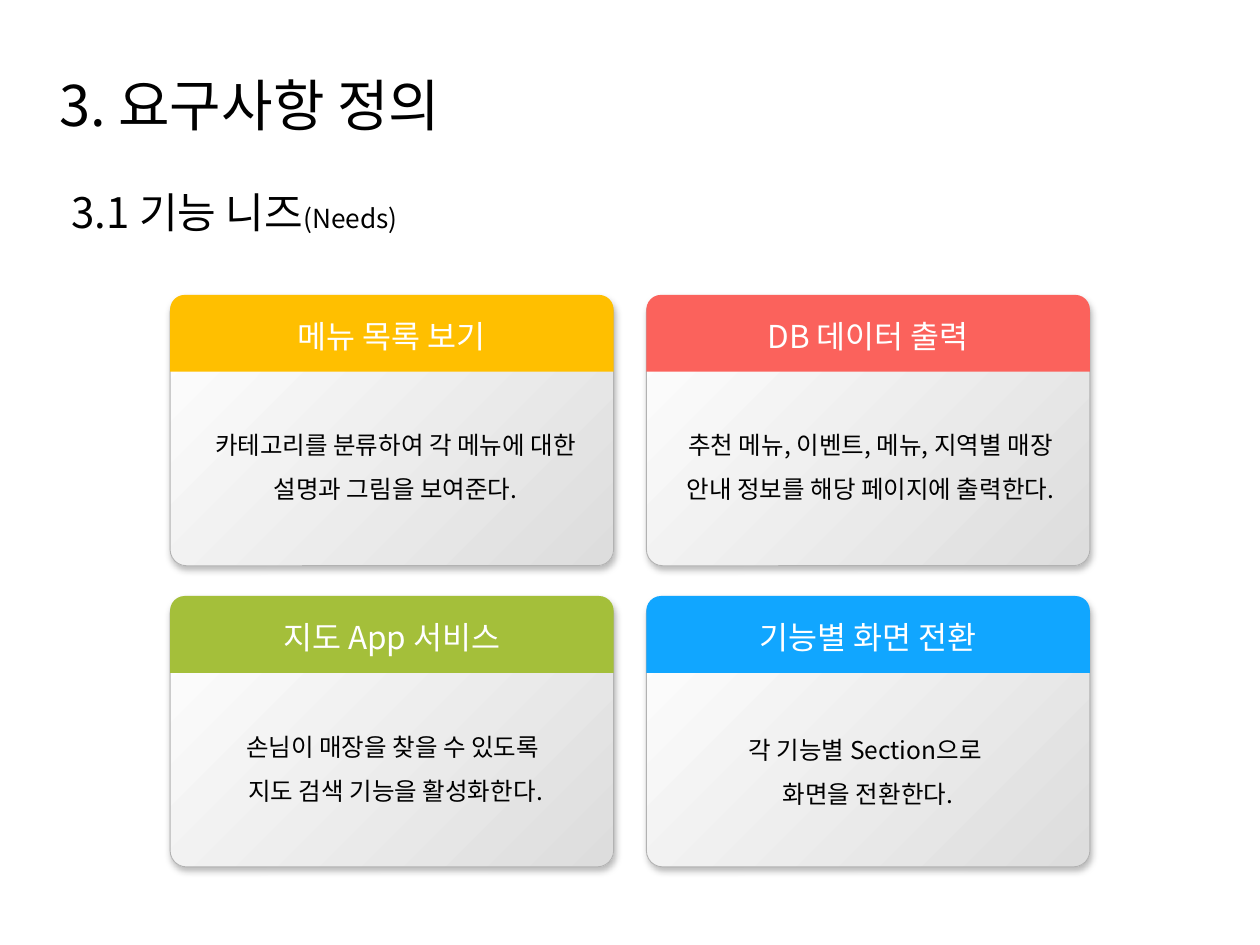
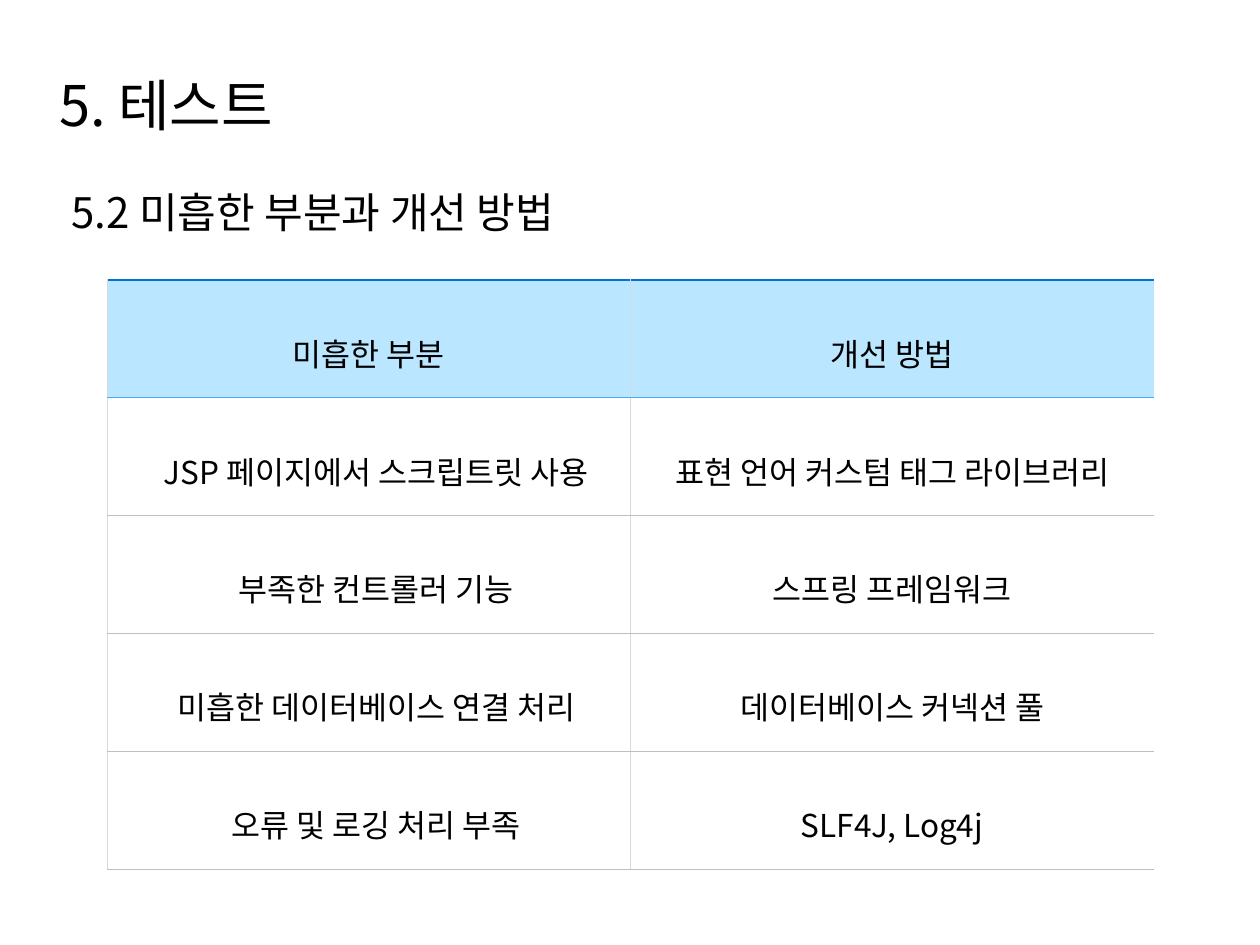
from dataclasses import dataclass
from lxml.etree import SubElement
from pptx import Presentation
from pptx.dml.color import RGBColor
from pptx.enum.shapes import MSO_SHAPE as Preset
from pptx.enum.text import MSO_ANCHOR as Anchor, MSO_AUTO_SIZE as AutoSize, PP_ALIGN as Align
from pptx.oxml.ns import qn
from pptx.util import Pt

EMU_PER_PX = 9144
EMU_PER_PT = 12700


def px(length):
    return length * EMU_PER_PX


@dataclass(frozen=True)
class Theme:
    font: str = "Noto Sans CJK KR"
    text: str = "000000"
    inverse: str = "FFFFFF"
    card_start: str = "FFFFFF"
    card_end: str = "DDDDDD"
    card_line: str = "B2B2B2"
    shadow: str = "000000"
    yellow: str = "FFBF00"
    red: str = "FB625C"
    green: str = "A4BF3A"
    blue: str = "11A6FF"
    table_head: str = "BAE6FF"
    table_body: str = "FFFFFF"
    table_top: str = "0173D4"
    head_rule: str = "4DABF5"
    row_rule: str = "BFBFBF"
    column_rule: str = "D9D9D9"
    title_size: int = 32
    heading_size: int = 24
    label_size: int = 18
    note_size: int = 15
    body_size: int = 14


class Deck:
    def __init__(self, theme):
        self.theme = theme
        self.presentation = Presentation()
        self.presentation.slide_width = px(1000)
        self.presentation.slide_height = px(750)
        self.slide = None

    def add_slide(self, title, heading, heading_width, note=None):
        self.slide = self.presentation.slides.add_slide(self.presentation.slide_layouts[6])
        self.add_title(title)
        self.add_heading(heading, heading_width, note)

    def format_run(self, run, size, color):
        run.font.size = Pt(size)
        run.font.color.rgb = RGBColor.from_string(color)
        run.font.name = self.theme.font
        SubElement(run.font._element, qn("a:ea"), typeface=self.theme.font)

    def set_text(self, frame, text, size, color=None, align=Align.LEFT, spacing=None):
        frame.text = text
        for paragraph in frame.paragraphs:
            paragraph.alignment = align
            paragraph.line_spacing = spacing
            for run in paragraph.runs:
                self.format_run(run, size, color or self.theme.text)

    def set_margins(self, frame, margin):
        frame.margin_left = frame.margin_right = px(margin)
        frame.margin_top = frame.margin_bottom = px(margin)

    def add_text(self, container, box, text, size, wrap=True, grow=True, **style):
        frame = container.add_textbox(*map(px, box)).text_frame
        self.set_text(frame, text, size, **style)
        frame.word_wrap = wrap
        frame.auto_size = AutoSize.SHAPE_TO_FIT_TEXT if grow else AutoSize.NONE
        return frame

    def add_title(self, text):
        frame = self.add_text(self.slide.shapes, (47, 51, 773, 66), text,
                              self.theme.title_size, grow=False)
        frame.margin_left = frame.margin_right = 0

    def add_heading(self, text, width, note):
        frame = self.add_text(self.slide.shapes, (47, 143, width, 50), text,
                              self.theme.heading_size, wrap=False)
        if note:
            run = frame.paragraphs[0].add_run()
            run.text = note
            self.format_run(run, self.theme.note_size, self.theme.text)

    def add_shadow(self, shape):
        effects = shape._element.spPr.find(qn("a:effectLst"))
        shadow = SubElement(effects, qn("a:outerShdw"), blurRad=str(4 * EMU_PER_PT),
                            dist=str(2 * EMU_PER_PT), dir=str(67 * 60000),
                            algn="ctr", rotWithShape="0")
        color = SubElement(shadow, qn("a:srgbClr"), val=self.theme.shadow)
        SubElement(color, qn("a:alpha"), val="28000")

    def add_panel(self, container, box):
        panel = container.add_shape(Preset.ROUNDED_RECTANGLE, *map(px, box))
        panel.adjustments[0] = 0.06
        panel.fill.gradient()
        panel.fill.gradient_angle = 315
        shades = (self.theme.card_start, self.theme.card_end)
        for position, (stop, shade) in enumerate(zip(panel.fill.gradient_stops, shades)):
            stop.position = position
            stop.color.rgb = RGBColor.from_string(shade)
        panel.line.color.rgb = RGBColor.from_string(self.theme.card_line)
        panel.line.width = Pt(0.5)
        panel.shadow.inherit = False
        self.add_shadow(panel)

    def add_band(self, container, box, label, color):
        band = container.add_shape(Preset.ROUND_2_SAME_RECTANGLE, *map(px, box))
        band.adjustments[0] = 0.19
        band.adjustments[1] = 0
        band.fill.solid()
        band.fill.fore_color.rgb = RGBColor.from_string(color)
        band.line.fill.background()
        band.shadow.inherit = False
        frame = band.text_frame
        frame.vertical_anchor = Anchor.MIDDLE
        frame.word_wrap = False
        self.set_margins(frame, 8)
        self.set_text(frame, label, self.theme.label_size, self.theme.inverse, Align.CENTER)

    def add_card(self, left, top, label, color, body, body_offset):
        container = self.slide.shapes.add_group_shape().shapes
        offset_left, offset_top = body_offset
        self.add_panel(container, (left, top + 1, 352, 214))
        self.add_text(container, (left + offset_left, top + offset_top, 346, 81), body,
                      self.theme.body_size, align=Align.CENTER, spacing=1.5)
        self.add_band(container, (left, top, 352, 61), label, color)

    def add_border(self, cell, side, color, width=0.5):
        properties = cell._tc.get_or_add_tcPr()
        line = SubElement(properties, qn(f"a:ln{side}"), w=str(int(width * EMU_PER_PT)))
        if color:
            fill = SubElement(line, qn("a:solidFill"))
            SubElement(fill, qn("a:srgbClr"), val=color)
        else:
            SubElement(line, qn("a:noFill"))

    def format_cell(self, cell, text, row, column):
        theme = self.theme
        is_head = row == 0
        is_first_column = column == 0
        top = {0: theme.table_top, 1: theme.head_rule}.get(row, theme.row_rule)
        self.set_text(cell.text_frame, text, theme.label_size, align=Align.CENTER, spacing=1.6)
        if is_first_column and not is_head:
            cell.text_frame.paragraphs[0]._p.get_or_add_pPr().set("marL", str(px(12)))
        cell.vertical_anchor = Anchor.MIDDLE
        self.set_margins(cell, 2)
        self.add_border(cell, "L", theme.column_rule)
        self.add_border(cell, "R", theme.column_rule if is_first_column else None)
        self.add_border(cell, "T", top, 1.5 if is_head else 0.5)
        self.add_border(cell, "B", theme.head_rule if is_head else theme.row_rule)
        cell.fill.solid()
        cell.fill.fore_color.rgb = RGBColor.from_string(
            theme.table_head if is_head else theme.table_body)

    def add_table(self, box, rows, column_widths):
        table = self.slide.shapes.add_table(len(rows), len(column_widths), *map(px, box)).table
        table.first_row = table.horz_banding = False
        for column, width in zip(table.columns, column_widths):
            column.width = px(width)
        for row_index, texts in enumerate(rows):
            for column_index, text in enumerate(texts):
                self.format_cell(table.cell(row_index, column_index), text,
                                 row_index, column_index)


def build_needs(deck):
    theme = deck.theme
    deck.add_slide("3. 요구사항 정의", "3.1 기능 니즈", 296, "(Needs)")
    cards = [
        ("메뉴 목록 보기", theme.yellow,
         "카테고리를 분류하여 각 메뉴에 대한 설명과 그림을 보여준다.", (6, 91)),
        ("DB 데이터 출력", theme.red,
         "추천 메뉴, 이벤트, 메뉴, 지역별 매장 안내 정보를 해당 페이지에 출력한다.", (5, 91)),
        ("지도 App 서비스", theme.green,
         "손님이 매장을 찾을 수 있도록 \v지도 검색 기능을 활성화한다.", (6, 91)),
        ("기능별 화면 전환", theme.blue,
         "각 기능별 Section으로 \n화면을 전환한다.", (3, 94)),
    ]
    for index, card in enumerate(cards):
        row, column = divmod(index, 2)
        deck.add_card(135 + column * 378, 234 + row * 239, *card)


def build_improvements(deck):
    deck.add_slide("5. 테스트", "5.2 미흡한 부분과 개선 방법", 449)
    rows = [
        ("미흡한 부분", "개선 방법"),
        ("JSP 페이지에서 스크립트릿 사용", "표현 언어 커스텀 태그 라이브러리"),
        ("부족한 컨트롤러 기능", "스프링 프레임워크"),
        ("미흡한 데이터베이스 연결 처리", "데이터베이스 커넥션 풀"),
        ("오류 및 로깅 처리 부족", "SLF4J, Log4j"),
    ]
    deck.add_table((85, 222, 831, 468), rows, (415, 416))


def main():
    deck = Deck(Theme())
    build_needs(deck)
    build_improvements(deck)
    deck.presentation.save("out.pptx")


if __name__ == "__main__":
    main()
